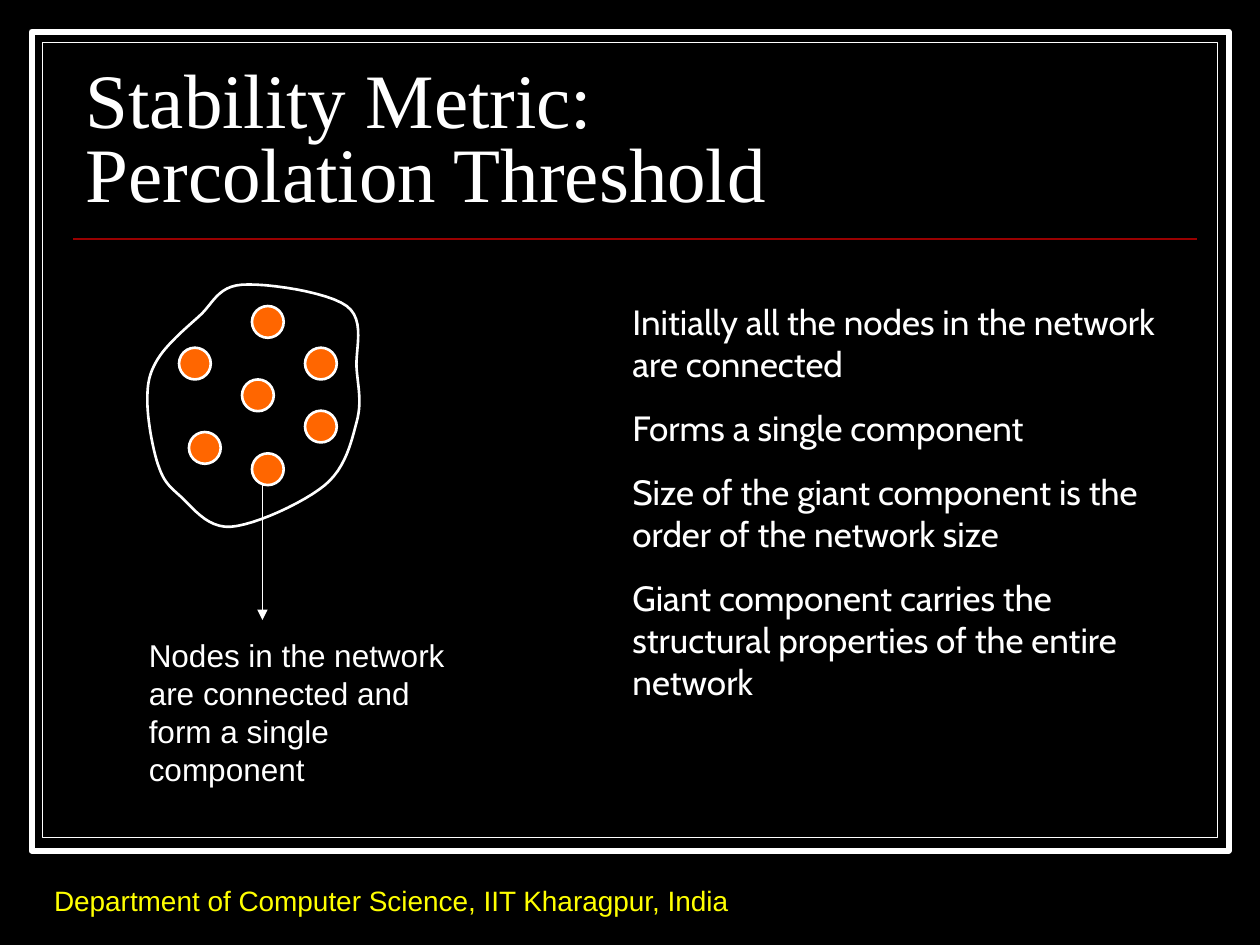
from lxml.etree import SubElement
from pptx import Presentation
from pptx.dml.color import RGBColor as RGB
from pptx.enum.shapes import MSO_CONNECTOR as Link, MSO_SHAPE as Preset
from pptx.enum.text import MSO_ANCHOR as Anchor, MSO_AUTO_SIZE as Fit
from pptx.oxml.ns import qn
from pptx.util import Cm, Pt

# Content: every position and size is in centimetres
TITLE = "Stability Metric:\vPercolation Threshold"
POINTS = [
    "Initially all the nodes in the network are connected",
    "Forms a single component",
    "Size of the giant component is the order of the network size",
    "Giant component carries the structural properties of the entire network",
]
CAPTION = "Nodes in the network are connected and form a single component"
FOOTER = "Department of Computer Science, IIT Kharagpur, India"

FRAMES = [((0.64, 0.64, 24.13, 16.51), 3.5), ((0.86, 0.86, 23.69, 16.03), 0.75)]
NODE_SIZE = 0.64
NODES = [(6.15, 7.01), (6.15, 8.28), (5.08, 6.17), (3.61, 7.01),
         (5.08, 9.14), (3.81, 8.71), (4.88, 7.65)]
# The component's outline passes smoothly through these points
OUTLINE = [(4.01, 6.38), (3.18, 7.24), (2.97, 8.08), (3.18, 9.35),
           (3.61, 9.98), (4.65, 10.62), (6.55, 9.78), (7.19, 8.51),
           (7.19, 7.44), (6.99, 6.17), (4.88, 5.74)]
CURVE_STEPS = 12

THEME = {
    "back": RGB(0x00, 0x00, 0x00),
    "front": RGB(0xFF, 0xFF, 0xFF),
    "rule": RGB(0x99, 0x00, 0x00),
    "node": RGB(0xFF, 0x66, 0x00),
    "title": {"name": "Times New Roman", "size": Pt(44)},
    "points": {"name": "Cabin", "size": Pt(20)},
    "caption": {"name": "Arial", "size": Pt(18)},
    "footer": {"name": "Arial", "size": Pt(16)},
    "footer_color": RGB(0xFF, 0xFF, 0x00),
}


def apply(target, values):
    for name, value in values.items():
        setattr(target, name, value)


def paint(shape, fill, weight):
    shape.shadow.inherit = False
    shape.fill.solid()
    shape.fill.fore_color.rgb = fill
    shape.line.color.rgb = THEME["front"]
    shape.line.width = Pt(weight)


def add_line(shapes, start, end, color, weight):
    line = shapes.add_connector(Link.STRAIGHT, *map(Cm, start + end))
    line.line.color.rgb = color
    line.line.width = Pt(weight)
    SubElement(line._element.spPr, qn("a:effectLst"))
    return line


def add_text(shapes, box, texts, font, color=THEME["front"], gap=0,
             spacing=None, **frame_format):
    frame = shapes.add_textbox(*map(Cm, box)).text_frame
    apply(frame, {"word_wrap": True, **frame_format})
    for index, text in enumerate(texts):
        paragraph = frame.add_paragraph() if index else frame.paragraphs[0]
        paragraph.text = text
        apply(paragraph, {"space_before": Pt(gap if index else 0),
                          "line_spacing": spacing})
        apply(paragraph.font, font)
        paragraph.font.color.rgb = color


def smooth(knots):
    """Points of the closed Catmull-Rom curve through the knots."""
    count = len(knots)
    for i in range(count):
        around = [knots[(i + k) % count] for k in (-1, 0, 1, 2)]
        for step in range(CURVE_STEPS):
            t = step / CURVE_STEPS
            yield tuple(
                Cm(b + t * (c - a) / 2 + t**2 * (2 * a - 5 * b + 4 * c - d) / 2
                   + t**3 * (3 * b - a - 3 * c + d) / 2)
                for a, b, c, d in zip(*around))


def main():
    deck = Presentation()
    apply(deck, {"slide_width": Cm(25.4), "slide_height": Cm(19.05)})
    slide = deck.slides.add_slide(deck.slide_layouts[6])
    slide.background.fill.solid()
    slide.background.fill.fore_color.rgb = THEME["back"]
    shapes = slide.shapes

    # Double frame and title rule
    for box, weight in FRAMES:
        paint(shapes.add_shape(Preset.RECTANGLE, *map(Cm, box)),
              THEME["back"], weight)
    add_line(shapes, (1.48, 4.82), (24.13, 4.82), THEME["rule"], 1)

    # Footer and title
    add_text(shapes, (0.84, 17.35, 15.95, 1.27), [FOOTER], THEME["footer"],
             THEME["footer_color"], vertical_anchor=Anchor.BOTTOM)
    add_text(shapes, (1.48, 1.32, 22.65, 3.18), [TITLE], THEME["title"],
             spacing=0.8, vertical_anchor=Anchor.BOTTOM)

    # Giant component with its nodes
    start, *rest = smooth(OUTLINE)
    builder = shapes.build_freeform(*start)
    builder.add_line_segments(rest, close=True)
    paint(builder.convert_to_shape(), THEME["back"], 1.5)
    for left, top in NODES:
        box = (left, top, NODE_SIZE, NODE_SIZE)
        paint(shapes.add_shape(Preset.OVAL, *map(Cm, box)), THEME["node"], 1.5)

    # Explanation
    add_text(shapes, (12.5, 5.94, 11.63, 8.36), POINTS, THEME["points"],
             gap=12.5, auto_size=Fit.SHAPE_TO_FIT_TEXT)

    # Arrow from the lowest node to its caption
    arrow = add_line(shapes, (5.29, 9.74), (5.29, 12.5), THEME["front"], 0.75)
    SubElement(arrow.line._get_or_add_ln(), qn("a:tailEnd"), type="triangle")
    add_text(shapes, (2.75, 12.7, 6.99, 3.3), [CAPTION], THEME["caption"],
             auto_size=Fit.SHAPE_TO_FIT_TEXT)

    deck.save("out.pptx")


if __name__ == "__main__":
    main()
